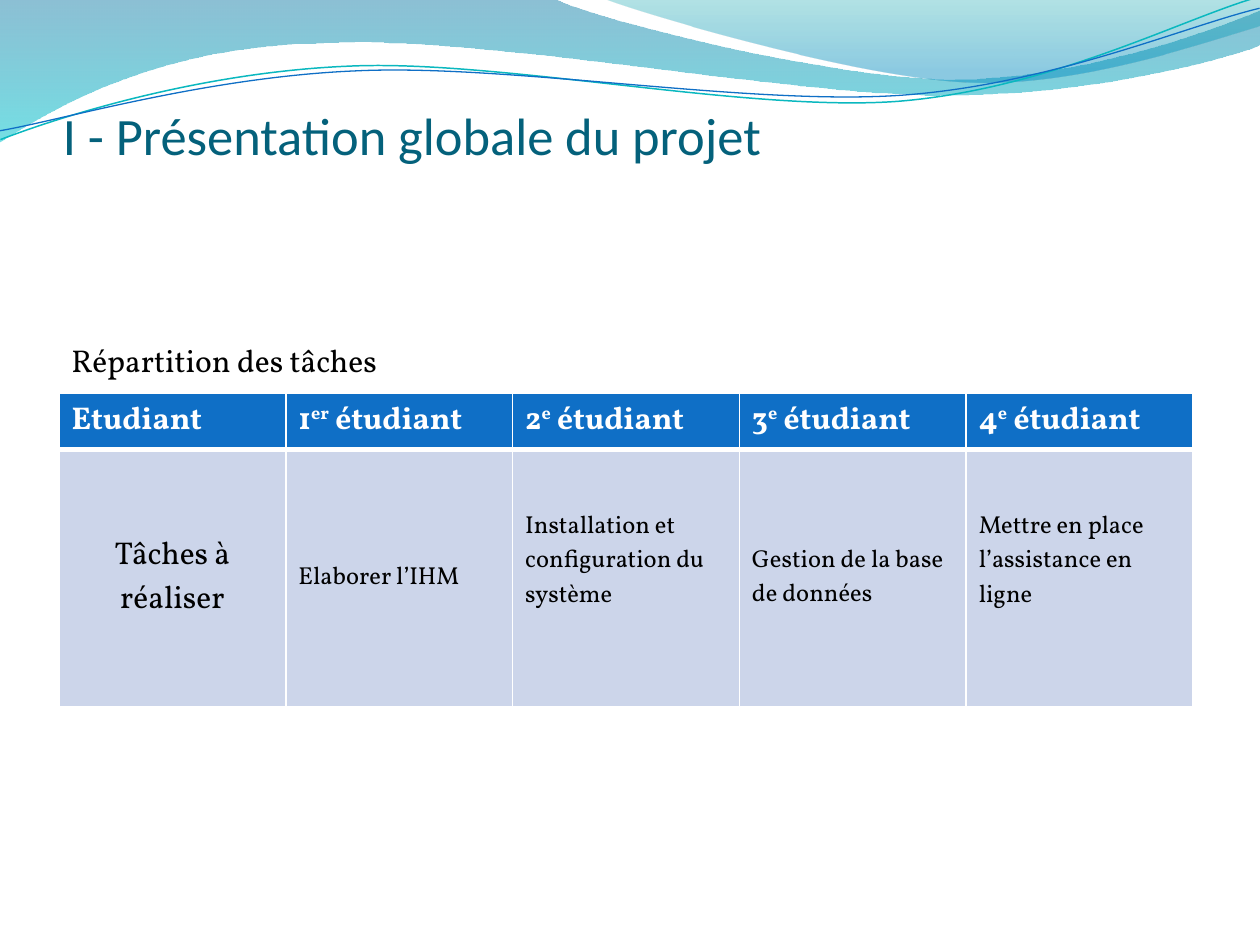
from lxml.etree import SubElement
from pptx import Presentation
from pptx.dml.color import RGBColor
from pptx.enum.text import MSO_ANCHOR as Anchor, PP_ALIGN as Align
from pptx.oxml import parse_xml
from pptx.oxml.ns import nsdecls, qn
from pptx.util import Emu, Pt

EMU_PER_PX = 914400 / 126
WHITE, BLACK, BLUE, PALE, TEAL = "FFFFFF", "000000", "0F6FC6", "CCD5EA", "04617B"
BODY_FONT, TITLE_FONT = "Vollkorn", "Calibri"
WAVE_TILT = -2.7


def px(value):
    return Emu(round(value * EMU_PER_PX))


def rgb(text):
    return RGBColor.from_string(text)


class SlideBuilder:
    def __init__(self, deck):
        self.page = deck.slides.add_slide(deck.slide_layouts[6])

    def style(self, para, size, color, font=BODY_FONT, bold=False, align=Align.LEFT):
        para.alignment = align
        para.font.size, para.font.name, para.font.bold = Pt(size), font, bold
        para.font.color.rgb = rgb(color)

    def outline(self, start, legs, closed):
        """Each leg is one line end, or two control points and a curve end."""
        corners = [(px(x), px(y)) for leg in legs for x, y in leg]
        builder = self.page.shapes.build_freeform(px(start[0]), px(start[1]), scale=1.0)
        builder.add_line_segments(corners, close=closed)
        shape = builder.convert_to_shape()
        shape.shadow.inherit = False
        lines = iter(list(shape._element.spPr.iter(qn("a:lnTo"))))
        for leg in legs:
            segment = [next(lines) for _ in leg]
            if len(leg) == 3:
                curve = parse_xml(f'<a:cubicBezTo {nsdecls("a")}/>')
                segment[0].addprevious(curve)
                for line in segment:
                    curve.append(line[0])
                    line.getparent().remove(line)
        return shape

    def ribbon(self, start, legs, stops):
        """Closed band; each stop is position, colour, opacity in percent."""
        shape = self.outline(start, legs, True)
        shape.line.fill.background()
        shape.fill.gradient()
        shape.fill.gradient_angle = 270
        for stop, (position, color, _) in zip(shape.fill.gradient_stops, stops):
            stop.position, stop.color.rgb = position / 100, rgb(color)
        colors = shape._element.spPr.iter(qn("a:srgbClr"))
        for element, (_, _, opacity) in zip(list(colors), stops):
            SubElement(element, qn("a:alpha"), val=str(opacity * 1000))

    def wave(self, start, legs, color, width):
        shape = self.outline(start, legs, False)
        shape.rotation = WAVE_TILT
        shape.fill.background()
        shape.line.color.rgb, shape.line.width = rgb(color), Pt(width)

    def text(self, left, top, width, height, words, size, color, font=BODY_FONT, flush=False):
        box = self.page.shapes.add_textbox(px(left), px(top), px(width), px(height))
        frame = box.text_frame
        frame.word_wrap = True
        if flush:
            frame.margin_left = frame.margin_right = frame.margin_bottom = 0
        frame.text = words
        self.style(frame.paragraphs[0], size, color, font)

    def cell(self, cell, parts, fill, borders, anchor=Anchor.TOP, **style):
        """Fill one cell; every second part of the text is raised."""
        cell.fill.solid()
        cell.fill.fore_color.rgb = rgb(fill)
        cell.vertical_anchor = anchor
        para = cell.text_frame.paragraphs[0]
        self.style(para, **style)
        for index, part in enumerate(parts):
            span = para.add_run()
            span.text = part
            if index % 2:
                span.font._element.set("baseline", "30000")
        properties = cell._tc.get_or_add_tcPr()
        for index, (side, width) in enumerate(zip("LRTB", borders)):
            properties.insert(index, parse_xml(
                f'<a:ln{side} {nsdecls("a")} w="{Pt(width)}"><a:solidFill>'
                f'<a:srgbClr val="{WHITE}"/></a:solidFill></a:ln{side}>'))

    def task_table(self, left, top, width, row_heights, headings, tasks, raised_columns):
        columns = len(headings)
        table = self.page.shapes.add_table(
            2, columns, px(left), px(top), px(width), px(sum(row_heights))).table
        for row, height in zip(table.rows, row_heights):
            row.height = px(height)
        for index, (heading, task) in enumerate(zip(headings, tasks)):
            table.columns[index].width = px(width / columns)
            self.cell(table.cell(0, index), heading, BLUE, (1, 1, 1, 3),
                      size=18, color=WHITE, bold=True)
            label = index == 0
            body = table.cell(1, index)
            self.cell(body, [task], PALE, (1, 1, 3, 1), Anchor.MIDDLE,
                      size=18 if label else 14, color=BLACK,
                      align=Align.CENTER if label else Align.LEFT)
            if index in raised_columns:
                body.margin_bottom = px(39)


def main():
    deck = Presentation()
    deck.slide_width, deck.slide_height = px(1260), px(945)
    slide = SlideBuilder(deck)

    slide.ribbon(
        (0, 0),
        [[(554, -1)],
         [(600, 21), (837, 79), (955, 79)], [(1074, 79), (1207, 33), (1260, 11)],
         [(1261, 45)],
         [(1239, 55), (1096, 96), (940, 95)], [(784, 95), (481, 35), (324, 43)],
         [(163, 45), (58, 105), (-1, 142)]],
        [(0, "0074A1", 45), (100, "00C6CF", 55)])
    slide.ribbon(
        (604, -1),
        [[(641, 14), (859, 78), (969, 82)], [(1079, 87), (1211, 40), (1260, 26)],
         [(1260, 0)]],
        [(0, "00A1A9", 30), (80, "008BBF", 45)])
    slide.wave(
        (-2, 110),
        [[(58, 90), (200, 52), (350, 53)], [(499, 53), (745, 118), (896, 114)],
         [(1049, 109), (1184, 45), (1260, 27)]],
        "0AB8BF", 0.85)
    slide.wave(
        (-2, 101),
        [[(57, 94), (207, 57), (357, 58)], [(509, 58), (750, 112), (902, 108)],
         [(1052, 104), (1188, 52), (1262, 38)]],
        BLUE, 0.75)

    ordinals = [(str(number), "er" if number == 1 else "e", " étudiant")
                for number in range(1, 5)]
    slide.task_table(
        59, 393, 1134, (48, 257), [("Etudiant",), *ordinals],
        ["Tâches à réaliser", "Elaborer l’IHM", "Installation et configuration du système",
         "Gestion de la base de données", "Mettre en place l’assistance en ligne"],
        raised_columns=(2, 4))
    slide.text(63, 97, 1134, 158, "I - Présentation globale du projet", 30, TEAL,
               TITLE_FONT, flush=True)
    slide.text(59, 335, 344, 50, "Répartition des tâches", 18, BLACK)
    deck.save("out.pptx")


if __name__ == "__main__":
    main()
